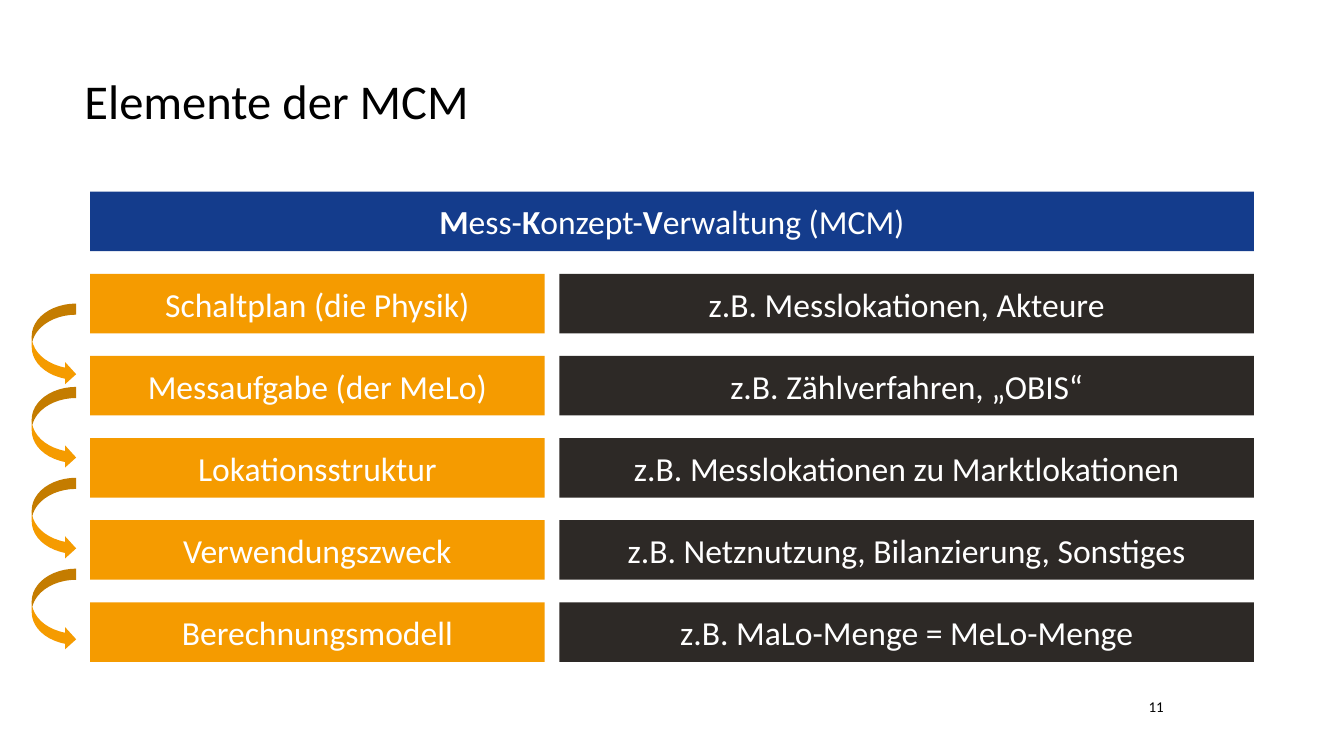
"""Build the slide on the elements of the MCM."""
from dataclasses import dataclass

from pptx import Presentation
from pptx.dml.color import RGBColor
from pptx.enum.shapes import MSO_SHAPE
from pptx.enum.text import MSO_ANCHOR, PP_ALIGN
from pptx.util import Cm, Pt

TITLE = "Elemente der MCM"
PAGE_NUMBER = "11"
HEADING = [
    ("M", True), ("ess-", False),
    ("K", True), ("onzept-", False),
    ("V", True), ("erwaltung (MCM)", False),
]
ELEMENTS = [
    ("Schaltplan (die Physik)", "z.B. Messlokationen, Akteure"),
    ("Messaufgabe (der MeLo)", "z.B. Zählverfahren, „OBIS“"),
    ("Lokationsstruktur", "z.B. Messlokationen zu Marktlokationen"),
    ("Verwendungszweck", "z.B. Netznutzung, Bilanzierung, Sonstiges"),
    ("Berechnungsmodell", "z.B. MaLo-Menge = MeLo-Menge"),
]


@dataclass(frozen=True)
class Theme:
    font: str = "Calibri"
    black: str = "000000"
    white: str = "FFFFFF"
    blue: str = "143C8C"
    orange: str = "F59B00"
    dark: str = "2D2926"
    title_size: float = 34.7
    bar_size: float = 24
    number_size: float = 10.7


THEME = Theme()
LEFT, RIGHT = 2.27, 31.6
ELEMENT_WIDTH, EXAMPLE_LEFT = 11.46, 14.1
FIRST_TOP, ROW_PITCH, BAR_HEIGHT = 4.83, 2.07, 1.5
ARROW_LEFT, ARROW_WIDTH, ARROW_HEIGHT = 0.8, 1.12, 2.06
ARROW_TOPS = [7.65, 9.75, 12.04, 14.33]


def set_values(target, values):
    for name, value in values.items():
        setattr(target, name, value)


def write(shape, spans, size, color, frame_format, para_format):
    set_values(shape.text_frame, {"word_wrap": True, **frame_format})
    para = shape.text_frame.paragraphs[0]
    set_values(para, para_format)
    for text, bold in spans:
        span = para.add_run()
        span.text = text
        set_values(span.font, {"name": THEME.font, "size": Pt(size), "bold": bold})
        span.font.color.rgb = RGBColor.from_string(color)


def add_label(page, area, text, size, anchor, para_format):
    box = page.shapes.add_textbox(*map(Cm, area))
    margins = {f"margin_{side}": 0 for side in ("left", "top", "right", "bottom")}
    frame_format = {"vertical_anchor": anchor, **margins}
    write(box, [(text, False)], size, THEME.black, frame_format, para_format)


def add_filled(page, kind, area, color):
    shape = page.shapes.add_shape(kind, *map(Cm, area))
    shape.shadow.inherit = False
    shape.fill.solid()
    shape.fill.fore_color.rgb = RGBColor.from_string(color)
    shape.line.fill.background()
    return shape


def add_bar(page, left, row, width, color, spans):
    area = (left, FIRST_TOP + row * ROW_PITCH, width, BAR_HEIGHT)
    bar = add_filled(page, MSO_SHAPE.RECTANGLE, area, color)
    write(bar, spans, THEME.bar_size, THEME.white,
          {"vertical_anchor": MSO_ANCHOR.MIDDLE}, {"alignment": PP_ALIGN.CENTER})


deck = Presentation()
set_values(deck, {"slide_width": Cm(33.87), "slide_height": Cm(19.05)})
page = deck.slides.add_slide(deck.slide_layouts[6])

add_label(page, (2.13, 1.96, 25.32, 1.35), TITLE, THEME.title_size,
          MSO_ANCHOR.TOP, {"line_spacing": 0.9})
add_label(page, (27.15, 17.58, 2.18, 0.46), PAGE_NUMBER, THEME.number_size,
          MSO_ANCHOR.MIDDLE, {"alignment": PP_ALIGN.RIGHT})

add_bar(page, LEFT, 0, RIGHT - LEFT, THEME.blue, HEADING)
for row, (element, example) in enumerate(ELEMENTS, start=1):
    add_bar(page, LEFT, row, ELEMENT_WIDTH, THEME.orange, [(element, False)])
    add_bar(page, EXAMPLE_LEFT, row, RIGHT - EXAMPLE_LEFT, THEME.dark, [(example, False)])

for top in ARROW_TOPS:
    add_filled(page, MSO_SHAPE.CURVED_RIGHT_ARROW,
               (ARROW_LEFT, top, ARROW_WIDTH, ARROW_HEIGHT), THEME.orange)

deck.save("out.pptx")
